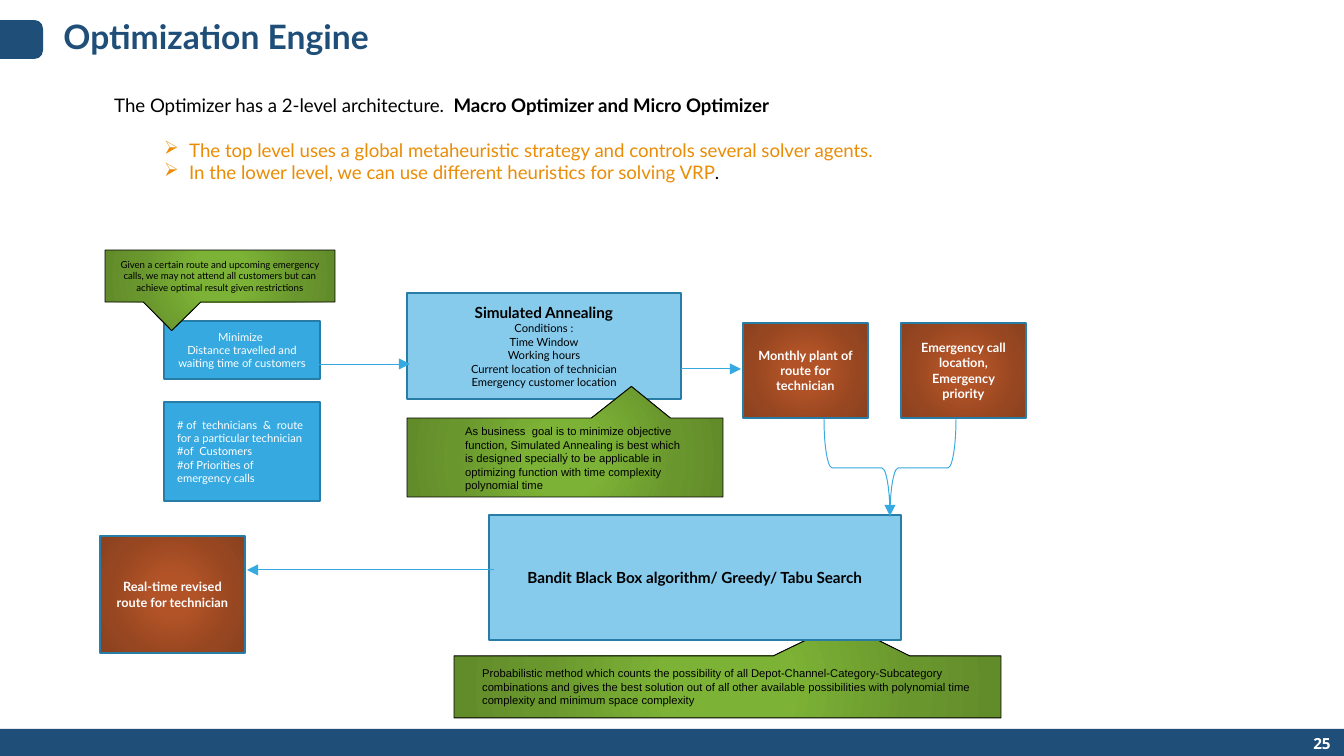
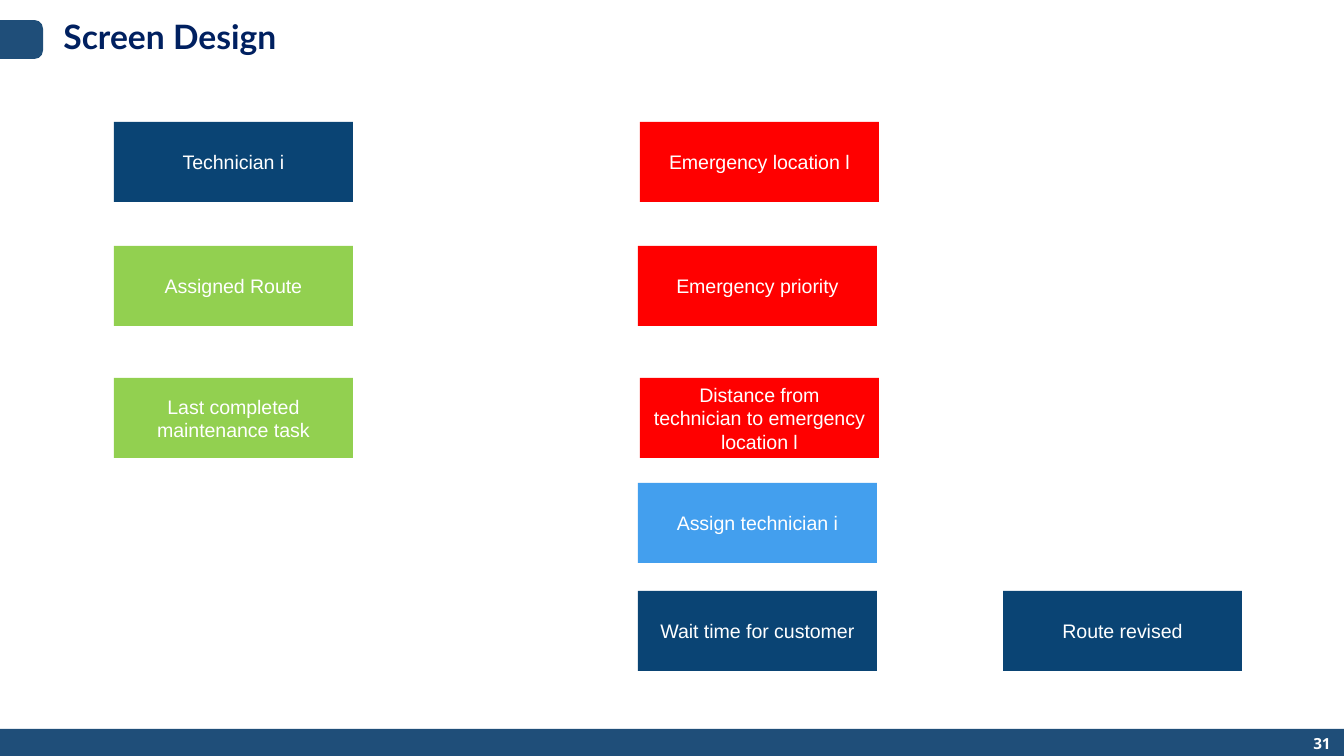
from dataclasses import dataclass, field
from typing import Any, NamedTuple

from lxml import etree
from pptx import Presentation
from pptx.dml.color import RGBColor
from pptx.enum.shapes import MSO_CONNECTOR, MSO_SHAPE
from pptx.enum.text import MSO_ANCHOR, MSO_AUTO_SIZE, PP_ALIGN
from pptx.oxml import parse_xml
from pptx.oxml.ns import nsdecls, qn
from pptx.slide import Slide
from pptx.util import Emu, Pt

RECT = MSO_SHAPE.RECTANGLE
TAB = MSO_SHAPE.ROUND_2_SAME_RECTANGLE
CALLOUT = MSO_SHAPE.RECTANGULAR_CALLOUT
BRACE = MSO_SHAPE.RIGHT_BRACE
STRAIGHT = MSO_CONNECTOR.STRAIGHT
LEFT, CENTER, RIGHT = PP_ALIGN.LEFT, PP_ALIGN.CENTER, PP_ALIGN.RIGHT
TOP, MIDDLE = MSO_ANCHOR.TOP, MSO_ANCHOR.MIDDLE
NO_FIT = MSO_AUTO_SIZE.NONE

WIDTH, HEIGHT = 1344, 756
SCALE = 914400 / 134.4

COLORS = {
    "band": "1F4E79", "navy": "002060", "white": "FFFFFF", "black": "000000",
    "amber": "EA8C05", "pale": "86CBEC", "sky": "35A9E0", "edge": "277DA6",
    "deep": "0A4474", "lime": "92D050", "red": "FF0000", "azure": "439FEE",
}
GRADIENTS = {
    "green": ("7CB236", "7CB236", "69962D", "628C2A"),
    "rust": ("B25327", "B25327", "964621", "8C411F"),
}
STOPS = (0, 23, 69, 97)


class Run(NamedTuple):
    text: str
    fmt: dict[str, Any] = {}


class Para(NamedTuple):
    runs: tuple[Run, ...]
    bullet: bool = False
    before: float = 0


@dataclass
class Box:
    x: int
    y: int
    w: int
    h: int
    paras: list[Para] = field(default_factory=list)
    fill: str = ""
    line: str = ""
    weight: float = 1
    kind: Any = RECT
    adj: tuple[float, ...] = ()
    rot: int = 0
    align: Any = CENTER
    anchor: Any = MIDDLE
    fmt: dict[str, Any] = field(default_factory=dict)


class Arrow(NamedTuple):
    x1: int
    y1: int
    x2: int
    y2: int


def px(n: float) -> Emu:
    return Emu(round(n * SCALE))


def rgb(name: str) -> RGBColor:
    return RGBColor.from_string(COLORS[name])


def lines(*texts: str, **first: Any) -> list[Para]:
    return [Para((Run(t, first if i == 0 else {}),)) for i, t in enumerate(texts)]


def font(name: str, size: float, color: str, bold: bool = False) -> dict[str, Any]:
    return {"name": name, "size": size, "color": color, "bold": bold}


def format_run(r: Any, fmt: dict[str, Any]) -> None:
    for key, value in fmt.items():
        if key == "color":
            r.font.color.rgb = rgb(value)
        else:
            setattr(r.font, key, Pt(value) if key == "size" else value)


def add_bullet(p: Any) -> None:
    p.level = 1
    pPr = p._p.get_or_add_pPr()
    pPr.set("marL", str(px(75)))
    pPr.set("indent", str(-px(25)))
    etree.SubElement(pPr, qn("a:buChar")).set("char", "\u27a2")


def write(tf: Any, paras: list[Para], fmt: dict[str, Any], align: Any, anchor: Any) -> None:
    for key, value in {"word_wrap": True, "auto_size": NO_FIT, "vertical_anchor": anchor}.items():
        setattr(tf, key, value)
    for i, para in enumerate(paras):
        p = tf.paragraphs[0] if i == 0 else tf.add_paragraph()
        p.alignment = align
        if para.before:
            p.space_before = Pt(para.before)
        if para.bullet:
            add_bullet(p)
        for run in para.runs:
            r = p.add_run()
            r.text = run.text
            format_run(r, fmt | run.fmt)


def radial_fill(sp: Any, colors: tuple[str, ...]) -> None:
    stops = "".join(
        f'<a:gs pos="{pos * 1000}"><a:srgbClr val="{c}"/></a:gs>'
        for pos, c in zip(STOPS, colors)
    )
    grad = parse_xml(
        f'<a:gradFill {nsdecls("a")} rotWithShape="1"><a:gsLst>{stops}</a:gsLst>'
        '<a:path path="circle"><a:fillToRect l="50000" t="50000" r="50000" b="50000"/>'
        "</a:path></a:gradFill>"
    )
    sp._element.spPr.find(qn("a:prstGeom")).addnext(grad)


def add_box(s: Slide, box: Box) -> None:
    frame = [px(n) for n in (box.x, box.y, box.w, box.h)]
    if not box.fill and not box.line:
        sp = s.shapes.add_textbox(*frame)
    else:
        sp = s.shapes.add_shape(box.kind, *frame)
        sp.shadow.inherit = False
        sp.rotation = box.rot
        for i, value in enumerate(box.adj):
            sp.adjustments[i] = value
        if box.fill in GRADIENTS:
            radial_fill(sp, GRADIENTS[box.fill])
        elif box.fill:
            sp.fill.solid()
            sp.fill.fore_color.rgb = rgb(box.fill)
        else:
            sp.fill.background()
        if box.line:
            sp.line.color.rgb = rgb(box.line)
            sp.line.width = Pt(box.weight)
        else:
            sp.line.fill.background()
    if box.paras:
        write(sp.text_frame, box.paras, box.fmt, box.align, box.anchor)


def add_arrow(s: Slide, arrow: Arrow) -> None:
    c = s.shapes.add_connector(STRAIGHT, *[px(n) for n in arrow])
    c.line.color.rgb = rgb("sky")
    c.line.width = Pt(0.5)
    spPr = c._element.spPr
    etree.SubElement(spPr.find(qn("a:ln")), qn("a:tailEnd")).set("type", "triangle")
    etree.SubElement(spPr, qn("a:effectLst"))


def add_slide(prs: Any, title: str, color: str, number: int) -> Slide:
    s = prs.slides.add_slide(prs.slide_layouts[5])
    add_box(s, Box(0, 729, WIDTH, 27, fill="band"))
    add_box(s, Box(1259, 731, 85, 24, lines(str(number)), align=RIGHT,
                   fmt=font("Open Sans", 8.2, "white", True)))
    add_box(s, Box(2, 18, 39, 43, fill="band", kind=TAB, adj=(0.22, 0), rot=90))
    sp = s.shapes.title
    for key, value in {"left": 50, "top": 15, "width": 1246, "height": 47}.items():
        setattr(sp, key, px(value))
    write(sp.text_frame, lines(title), font("Lato", 18, color, True), LEFT, MIDDLE)
    sp.text_frame.paragraphs[0].line_spacing = 0.9
    return s


NOTE = font("Lato", 5.2, "black")
STEP = font("Lato", 6, "white")
HEAD = font("Lato", 8.2, "black", True)
RESULT = font("Lato", 6.8, "white", True)
REMARK = font("Arial", 6, "black")
BODY = font("Lato", 10, "black")
TILE = font("Arial", 10.5, "white")


def callout(x: int, y: int, w: int, h: int, text: str, adj: tuple[float, ...], rot: int = 0) -> Box:
    return Box(x, y, w, h, lines(text), "green", "black", 0.5, CALLOUT, adj, rot, fmt=NOTE)


def result(x: int, y: int, w: int, h: int, *texts: str) -> Box:
    return Box(x, y, w, h, lines(*texts), "rust", "edge", fmt=RESULT)


def remark(x: int, y: int, w: int, h: int, text: str) -> Box:
    return Box(x, y, w, h, lines(text), align=LEFT, anchor=TOP, fmt=REMARK)


AMBER = {"color": "amber"}
INTRO = [
    Para((Run("The Optimizer has a 2-level architecture.  "),
          Run("Macro Optimizer and Micro Optimizer", {"bold": True}))),
    Para((Run("The top level uses a global metaheuristic strategy and controls "
              "several solver agents. ", AMBER),), True, 12),
    Para((Run("In the lower level, we can use different heuristics for solving VRP", AMBER),
          Run(".")), True),
]
ANNEALING = lines("Simulated Annealing", size=8.2, bold=True) + lines(
    "Conditions :", "Time Window", "Working hours",
    "Current location of technician", "Emergency customer location")

ENGINE = [
    callout(454, 656, 547, 62, ". ", (-0.21, 1.04), 180),
    Box(489, 515, 412, 125, lines("Bandit Black Box algorithm/ Greedy/ Tabu Search"),
        "pale", "edge", fmt=HEAD),
    Box(101, 87, 1043, 104, INTRO, align=LEFT, anchor=TOP, fmt=BODY),
    Box(407, 293, 274, 106, ANNEALING, "pale", "edge", fmt=font("Lato", 6, "black")),
    result(743, 323, 125, 95, "Monthly plant of route for technician"),
    result(100, 536, 145, 117, "Real-time revised route for technician"),
    Box(164, 321, 156, 58,
        lines("Minimize ", "Distance travelled and waiting time of customers"),
        "sky", "edge", fmt=STEP),
    callout(105, 250, 230, 52,
            "Given a certain route and upcoming emergency calls, we may not attend all "
            "customers but can achieve optimal result given restrictions", (-0.21, 1.05)),
    Box(164, 402, 156, 99,
        lines("# of  technicians  &  route for a particular technician",
              "#of  Customers", "#of Priorities of emergency calls"),
        "sky", "edge", align=LEFT, fmt=STEP),
    Arrow(318, 364, 410, 364),
    Arrow(681, 369, 741, 369),
    Box(841, 402, 98, 132, line="sky", weight=0.5, kind=BRACE, rot=90),
    remark(469, 660, 539, 50,
           "Probabilistic method which counts the possibility of all "
           "Depot-Channel-Category-Subcategory combinations and gives the best solution out of "
           "all other available possibilities with polynomial time complexity and minimum "
           "space complexity"),
    Arrow(494, 570, 247, 570),
    callout(407, 418, 316, 79, ". ", (-0.21, 0.9), 180),
    remark(452, 418, 252, 62,
           "As business  goal is to minimize objective function, Simulated Annealing is best "
           "which is designed specially to be applicable in optimizing function with time "
           "complexity polynomial time"),
    result(901, 323, 125, 95, "Emergency call location,", "Emergency priority"),
    Arrow(890, 495, 890, 516),
]

TILES = [
    (114, 122, "deep", "Technician i"),
    (114, 246, "lime", "Assigned Route"),
    (114, 378, "lime", "Last completed maintenance task"),
    (640, 122, "red", "Emergency location l"),
    (640, 378, "red", "Distance from technician to emergency location l"),
    (638, 246, "red", "Emergency priority"),
    (638, 591, "deep", "Wait time for customer"),
    (1003, 591, "deep", "Route revised"),
    (638, 483, "azure", "Assign technician i"),
]


def main() -> None:
    prs = Presentation()
    prs.slide_width, prs.slide_height = px(WIDTH), px(HEIGHT)
    s = add_slide(prs, "Optimization Engine", "band", 25)
    for item in ENGINE:
        if isinstance(item, Arrow):
            add_arrow(s, item)
        else:
            add_box(s, item)
    s = add_slide(prs, "Screen Design", "navy", 31)
    for x, y, fill, text in TILES:
        add_box(s, Box(x, y, 239, 80, lines(text), fill, fmt=TILE))
    prs.save("out.pptx")


main()
